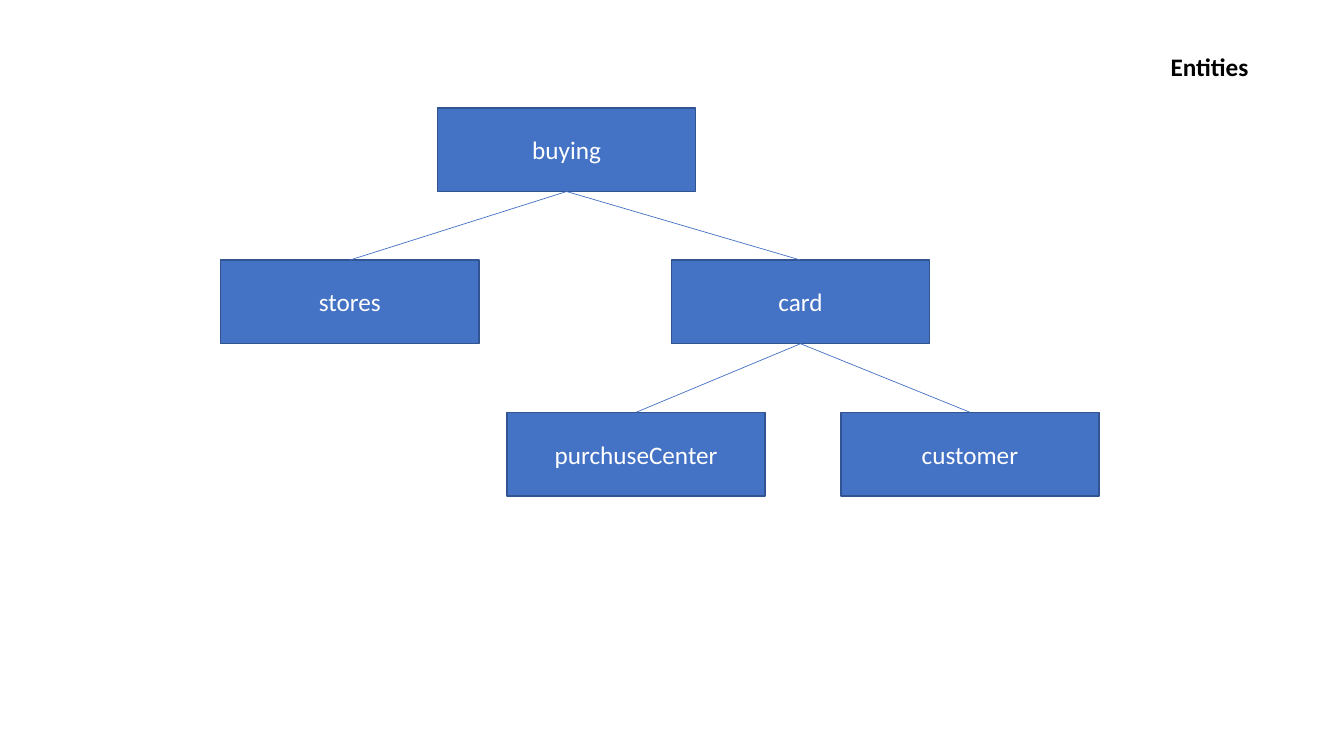
from pptx import Presentation
from pptx.dml.color import RGBColor
from pptx.enum import shapes, text
from pptx.oxml.ns import qn
from pptx.util import Inches, Pt

TITLE = "Entities"
# entity: (left edge, level in the tree, parent)
ENTITIES = {
    "buying": (4.34, 0, None),
    "stores": (2.19, 1, "buying"),
    "card": (6.66, 1, "buying"),
    "purchuseCenter": (5.03, 2, "card"),
    "customer": (8.34, 2, "card"),
}
BOX_WIDTH, BOX_HEIGHT = 2.56, 0.83
TREE_TOP, LEVEL_STEP = 1.07, 1.51
TOP_SITE, BOTTOM_SITE = 0, 2
BLUE, DARK_BLUE, WHITE, BLACK = "4472C4", "325491", "FFFFFF", "000000"
FONT = {"name": "Calibri", "size": Pt(18)}


def color(hex_string):
    return RGBColor.from_string(hex_string)


def write(shape, words, hex_string, alignment, **extra):
    frame = shape.text_frame
    frame.word_wrap = True
    paragraph = frame.paragraphs[0]
    paragraph.alignment = alignment
    run = paragraph.add_run()
    run.text = words
    for name, value in {**FONT, **extra}.items():
        setattr(run.font, name, value)
    run.font.color.rgb = color(hex_string)


def set_line(shape, hex_string, points):
    shape.line.color.rgb = color(hex_string)
    shape.line.width = Pt(points)


def add_entity(slide, name, left, level):
    box = slide.shapes.add_shape(
        shapes.MSO_SHAPE.RECTANGLE, Inches(left), Inches(TREE_TOP + level * LEVEL_STEP),
        Inches(BOX_WIDTH), Inches(BOX_HEIGHT))
    box.shadow.inherit = False
    box.fill.solid()
    box.fill.fore_color.rgb = color(BLUE)
    set_line(box, DARK_BLUE, 1)
    box.text_frame.vertical_anchor = text.MSO_ANCHOR.MIDDLE
    write(box, name, WHITE, text.PP_ALIGN.CENTER)
    return box


def link(slide, parent, child):
    connector = slide.shapes.add_connector(shapes.MSO_CONNECTOR.STRAIGHT, 0, 0, 0, 0)
    connector.begin_connect(parent, BOTTOM_SITE)
    connector.end_connect(child, TOP_SITE)
    set_line(connector, BLUE, 0.5)
    properties = connector._element.spPr
    properties.append(properties.makeelement(qn("a:effectLst"), {}))


def main():
    presentation = Presentation()
    presentation.slide_width, presentation.slide_height = Inches(13.33), Inches(7.5)
    slide = presentation.slides.add_slide(presentation.slide_layouts[6])

    boxes = {name: add_entity(slide, name, left, level)
             for name, (left, level, _) in ENTITIES.items()}

    title = slide.shapes.add_textbox(Inches(9.92), Inches(0.46), Inches(BOX_WIDTH), Inches(0.4))
    write(title, TITLE, BLACK, text.PP_ALIGN.RIGHT, bold=True)

    for name, (_, _, parent) in ENTITIES.items():
        if parent:
            link(slide, boxes[parent], boxes[name])

    presentation.save("out.pptx")


if __name__ == "__main__":
    main()
